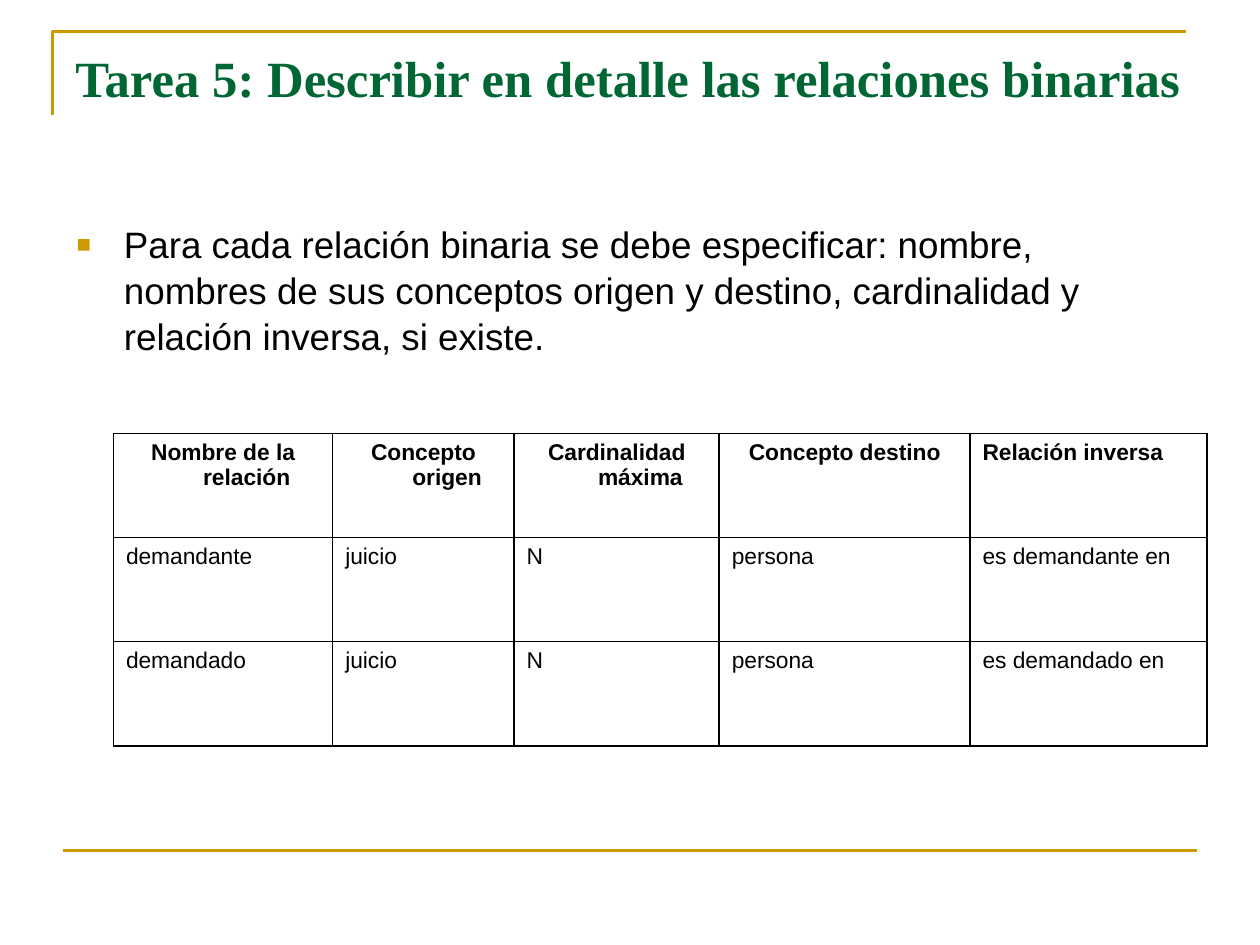
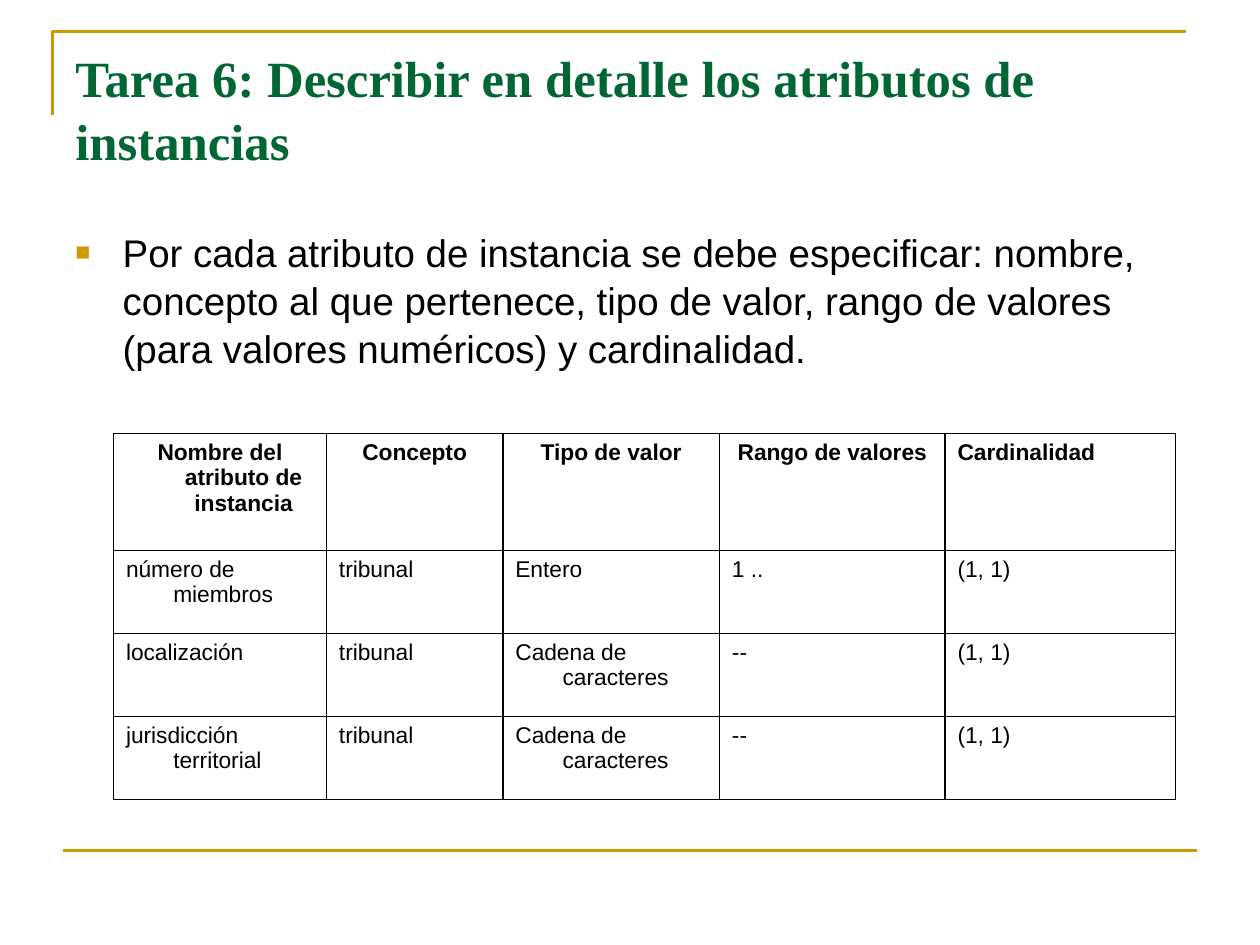
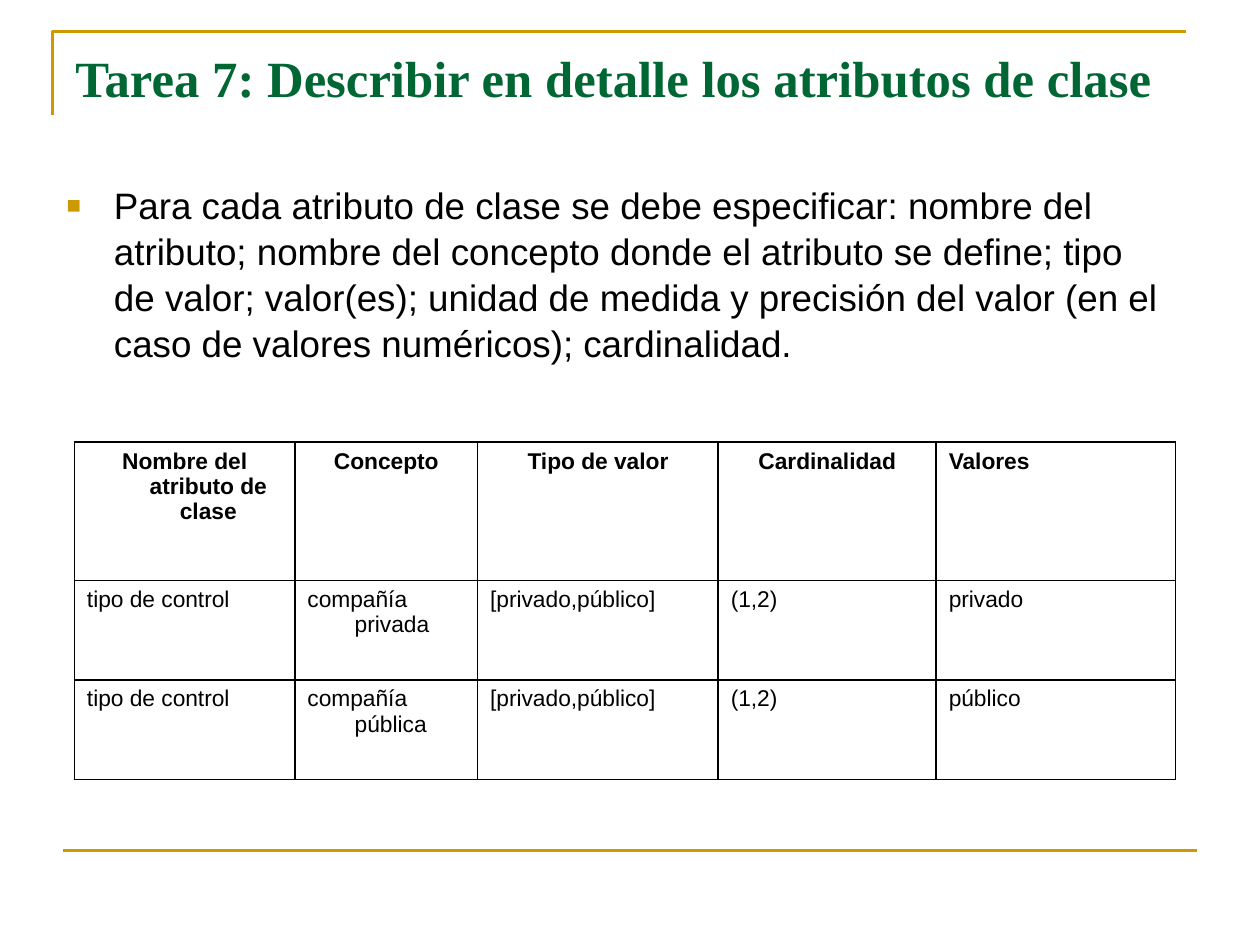
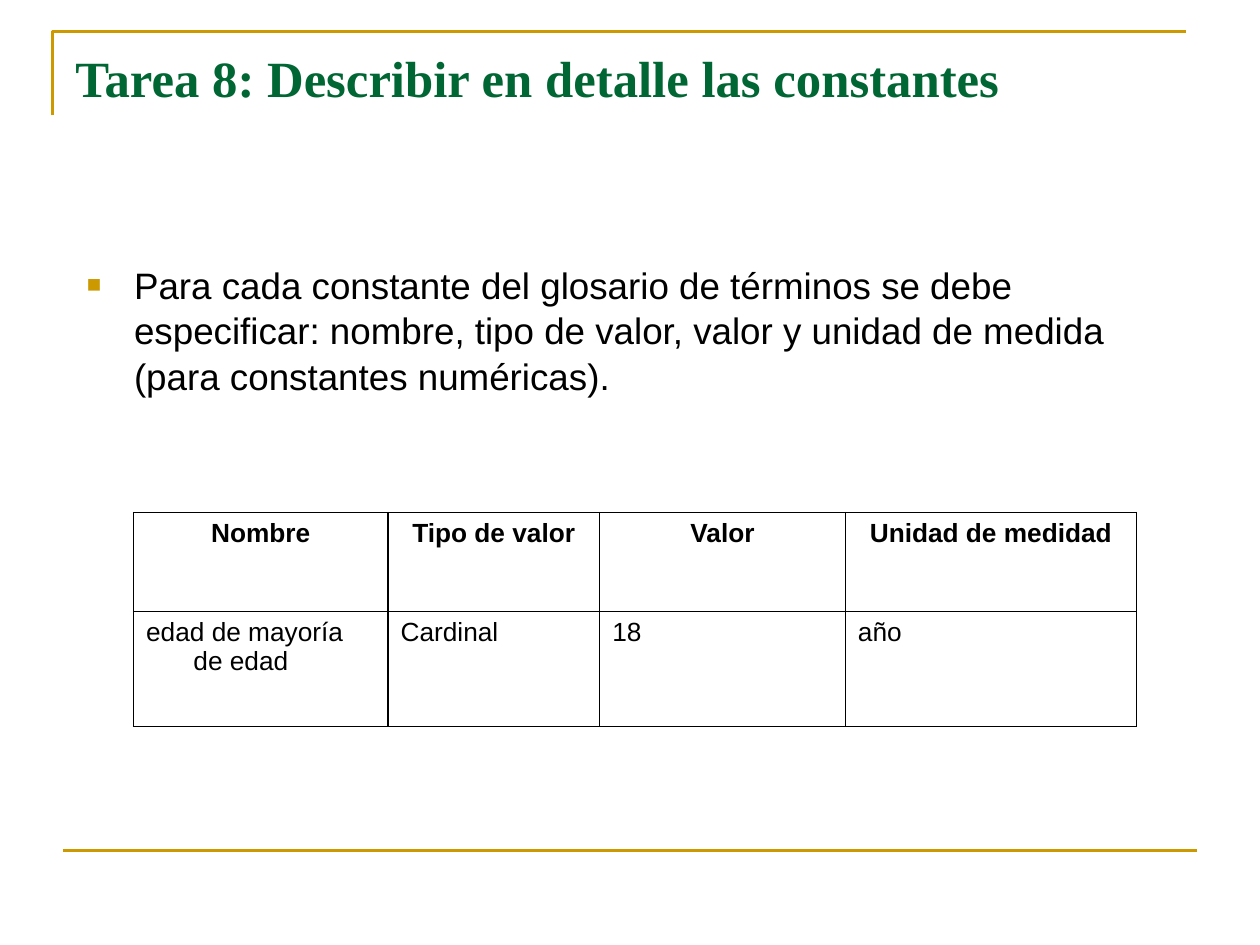
from lxml.etree import SubElement
from pptx import Presentation
from pptx.dml.color import RGBColor
from pptx.enum.shapes import MSO_CONNECTOR
from pptx.enum.text import MSO_ANCHOR, PP_ALIGN
from pptx.oxml import parse_xml
from pptx.oxml.ns import nsdecls, qn
from pptx.util import Pt

COLORS = {"gold": "CC9900", "green": "006633", "black": "000000"}
TITLE_FONT, BODY_FONT = "Times New Roman", "Arial"
TITLE_BOX = (36, 21.6, 648, 90)
FRAME_BOX = (30, 18, 648, 48)
FOOTER_BOX = (36, 486, 648, 0)
INDENT = 27
LINE_SPACING = 1.04

SLIDES = [
    {
        "title": "Tarea 5: Describir en detalle las relaciones binarias",
        "body": "Para cada relación binaria se debe especificar: nombre, nombres de sus "
                "conceptos origen y destino, cardinalidad y relación inversa, si existe.",
        "body_box": (36.7, 122.4, 647.3, 104.4),
        "body_size": 21,
        "table_origin": (64.8, 247.7),
        "columns": [125.3, 103.7, 117.2, 143.3, 135.4],
        "row_heights": [59.5, 59.5, 59.5],
        "cell_size": 13,
        "centred_headers": 4,
        "cells": [
            ["Nombre de la relación", "Concepto origen", "Cardinalidad máxima",
             "Concepto destino", "Relación inversa"],
            ["demandante", "juicio", "N", "persona", "es demandante en"],
            ["demandado", "juicio", "N", "persona", "es demandado en"],
        ],
    },
    {
        "title": "Tarea 6: Describir en detalle los atributos de instancias",
        "body": "Por cada atributo de instancia se debe especificar: nombre, concepto al que "
                "pertenece, tipo de valor, rango de valores (para valores numéricos) y "
                "cardinalidad.",
        "body_box": (36, 126, 630, 121.7),
        "body_size": 22,
        "table_origin": (64.8, 247.7),
        "columns": [121.7, 100.8, 123.8, 128.9, 131.8],
        "row_heights": [67, 47.4, 47.4, 47.4],
        "cell_size": 13,
        "centred_headers": 4,
        "cells": [
            ["Nombre del atributo de instancia", "Concepto", "Tipo de valor",
             "Rango de valores", "Cardinalidad"],
            ["número de miembros", "tribunal", "Entero", "1 ..", "(1, 1)"],
            ["localización", "tribunal", "Cadena de caracteres", "--", "(1, 1)"],
            ["jurisdicción territorial", "tribunal", "Cadena de caracteres", "--", "(1, 1)"],
        ],
    },
    {
        "title": "Tarea 7: Describir en detalle los atributos de clase",
        "body": "Para cada atributo de clase se debe especificar: nombre del atributo; nombre "
                "del concepto donde el atributo se define; tipo de valor; valor(es); unidad de "
                "medida y precisión del valor (en el caso de valores numéricos); cardinalidad.",
        "body_box": (31, 100, 641.5, 130.3),
        "body_size": 21,
        "table_origin": (42.5, 252.7),
        "columns": [126, 104.4, 137.5, 124.6, 136.8],
        "row_heights": [79, 56.9, 56.9],
        "cell_size": 13,
        "centred_headers": 4,
        "cells": [
            ["Nombre del atributo de clase", "Concepto", "Tipo de valor",
             "Cardinalidad", "Valores"],
            ["tipo de control", "compañía privada", "[privado,público]", "(1,2)", "privado"],
            ["tipo de control", "compañía pública", "[privado,público]", "(1,2)", "público"],
        ],
    },
    {
        "title": "Tarea 8: Describir en detalle las constantes",
        "body": "Para cada constante del glosario de términos se debe especificar: nombre, tipo "
                "de valor, valor y unidad de medida (para constantes numéricas).",
        "body_box": (42.5, 145.4, 613.4, 113),
        "body_size": 21,
        "table_origin": (76.3, 293),
        "columns": [145.4, 121, 140.4, 166.3],
        "row_heights": [56.5, 65.8],
        "cell_size": 15,
        "centred_headers": 4,
        "cells": [
            ["Nombre", "Tipo de valor", "Valor", "Unidad de medidad"],
            ["edad de mayoría de edad", "Cardinal", "18", "año"],
        ],
    },
]


def color(name):
    """Return the named colour of the palette."""
    return RGBColor.from_string(COLORS[name])


def set_font(paragraph, name, size, color_name, bold=False):
    """Set the font of a whole paragraph."""
    font = paragraph.font
    font.name, font.size, font.bold = name, Pt(size), bold
    font.color.rgb = color(color_name)


def set_hanging_indent(paragraph):
    """Give a paragraph the shared hanging indent and return its properties."""
    properties = paragraph._p.get_or_add_pPr()
    properties.set("marL", str(Pt(INDENT)))
    properties.set("indent", str(-Pt(INDENT)))
    return properties


def add_bullet(paragraph):
    """Put a small gold square before a paragraph."""
    properties = set_hanging_indent(paragraph)
    bullet_color = SubElement(properties, qn("a:buClr"))
    SubElement(bullet_color, qn("a:srgbClr"), val=COLORS["gold"])
    SubElement(properties, qn("a:buSzPct"), val="65000")
    SubElement(properties, qn("a:buFont"), typeface=BODY_FONT)
    SubElement(properties, qn("a:buChar"), char="■")


def add_text(slide, box, text):
    """Add a wrapping text box and return its paragraph."""
    frame = slide.shapes.add_textbox(*map(Pt, box)).text_frame
    frame.word_wrap = True
    frame.vertical_anchor = MSO_ANCHOR.TOP
    paragraph = frame.paragraphs[0]
    paragraph.text = text
    paragraph.line_spacing = LINE_SPACING
    return paragraph


def style_rule(shape):
    """Give a rule the shared gold line."""
    shape.line.color.rgb = color("gold")
    shape.line.width = Pt(1.5)


def add_corner_frame(slide, box):
    """Draw the open corner at the left and top of a box."""
    left, top, width, height = map(Pt, box)
    builder = slide.shapes.build_freeform(left, top + height)
    builder.add_line_segments([(left, top), (left + width, top)], close=False)
    corner = builder.convert_to_shape()
    corner.shadow.inherit = False
    corner.fill.background()
    style_rule(corner)


def add_footer_rule(slide, box):
    """Draw the rule along the top of a box."""
    left, top, width, _ = map(Pt, box)
    rule = slide.shapes.add_connector(MSO_CONNECTOR.STRAIGHT, left, top, left + width, top)
    style_rule(rule)
    SubElement(rule._element.spPr, qn("a:effectLst"))


def add_title(slide, box, text):
    """Add the slide title."""
    set_font(add_text(slide, box, text), TITLE_FONT, 29, "green", True)


def add_body(slide, box, text, size):
    """Add the bulleted explanation."""
    paragraph = add_text(slide, box, text)
    paragraph.space_before = Pt(size * 0.2)
    add_bullet(paragraph)
    set_font(paragraph, BODY_FONT, size, "black")


def set_borders(cell):
    """Draw a thin black line on each side of a cell."""
    properties = cell._tc.get_or_add_tcPr()
    for position, side in enumerate("LRTB"):
        properties.insert(position, parse_xml(
            f'<a:ln{side} {nsdecls("a")} w="{Pt(1)}"><a:solidFill>'
            f'<a:srgbClr val="{COLORS["black"]}"/></a:solidFill></a:ln{side}>'))


def add_grid(slide, origin, columns, row_heights, cells, size, centred_headers):
    """Add a bordered table with a bold header row."""
    box = (*origin, sum(columns), sum(row_heights))
    table = slide.shapes.add_table(len(cells), len(columns), *map(Pt, box)).table
    table.first_row = table.horz_banding = False
    for column, width in zip(table.columns, columns):
        column.width = Pt(width)
    for row_index, (row, height) in enumerate(zip(table.rows, row_heights)):
        row.height = Pt(height)
        is_header = row_index == 0
        for column_index, cell in enumerate(row.cells):
            cell.text = cells[row_index][column_index]
            cell.fill.background()
            set_borders(cell)
            paragraph = cell.text_frame.paragraphs[0]
            centred = is_header and column_index < centred_headers
            paragraph.alignment = PP_ALIGN.CENTER if centred else PP_ALIGN.LEFT
            set_hanging_indent(paragraph)
            set_font(paragraph, BODY_FONT, size, "black", is_header)


def add_task_slide(presentation, content):
    """Add one task slide with its title, explanation and table."""
    slide = presentation.slides.add_slide(presentation.slide_layouts[6])
    add_corner_frame(slide, FRAME_BOX)
    add_footer_rule(slide, FOOTER_BOX)
    add_title(slide, TITLE_BOX, content["title"])
    add_body(slide, content["body_box"], content["body"], content["body_size"])
    add_grid(slide, content["table_origin"], content["columns"], content["row_heights"],
             content["cells"], content["cell_size"], content["centred_headers"])


def main():
    """Build and save the presentation."""
    presentation = Presentation()
    presentation.slide_width, presentation.slide_height = Pt(720), Pt(540)
    for content in SLIDES:
        add_task_slide(presentation, content)
    presentation.save("out.pptx")


main()
